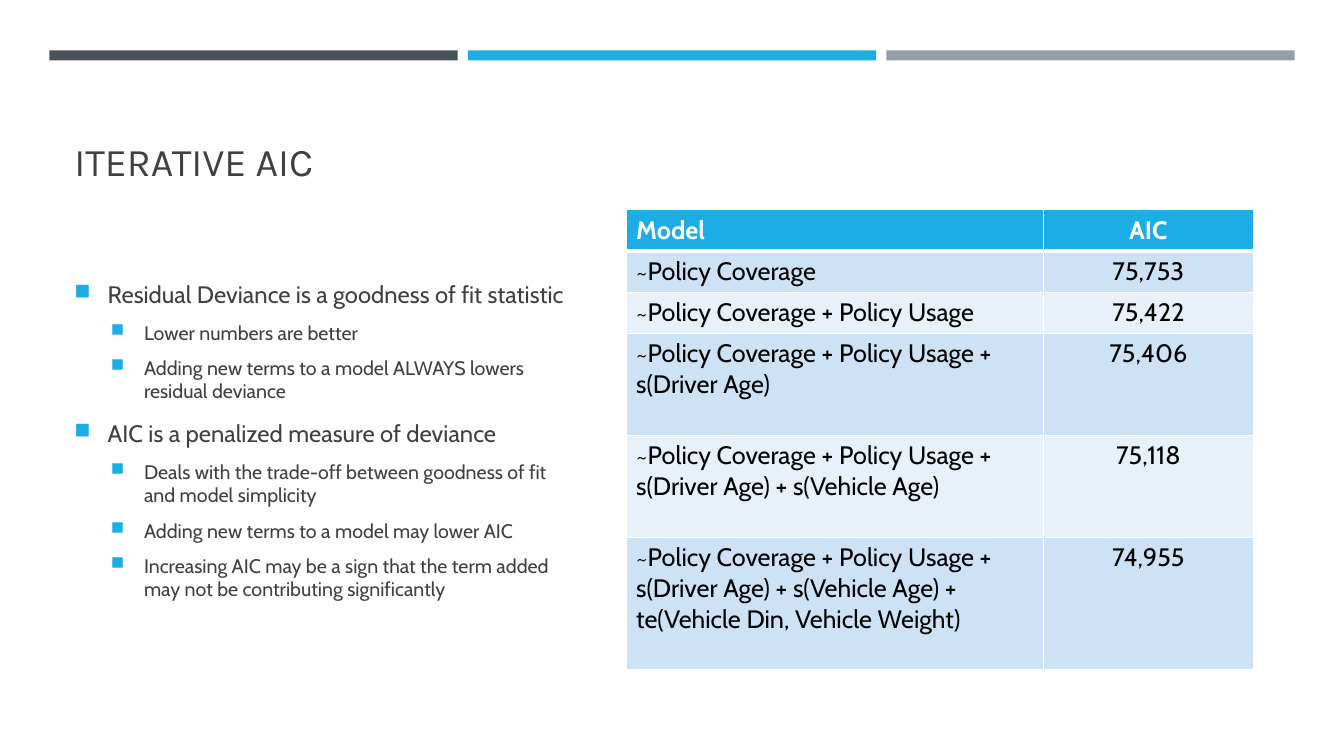
from lxml import etree
from pptx import Presentation
from pptx.dml.color import RGBColor
from pptx.enum.shapes import MSO_SHAPE
from pptx.enum.text import MSO_ANCHOR, PP_ALIGN
from pptx.oxml.ns import qn
from pptx.util import Inches, Pt

RECT = MSO_SHAPE.RECTANGLE
LEFT, CENTER = PP_ALIGN.LEFT, PP_ALIGN.CENTER
MIDDLE, BOTTOM = MSO_ANCHOR.MIDDLE, MSO_ANCHOR.BOTTOM
COLORS = {
    "slate": "465359", "blue": "1CADE4", "gray": "969FA7", "text": "404040",
    "black": "000000", "white": "FFFFFF", "band": "CDE3F5", "light": "E8F1FA",
}


def write(p, text, size=18, color="text", font="Cabin", bold=False, align=LEFT):
    """Add one formatted run to a paragraph."""
    p.alignment = align
    r = p.add_run()
    r.text = text
    r.font.size = Pt(size)
    r.font.name = font
    r.font.bold = bold
    r.font.color.rgb = RGBColor.from_string(COLORS[color])


def add_border(cell, side, width):
    """Draw a white line on one side (L, R, T or B) of a table cell."""
    ln = etree.SubElement(cell._tc.get_or_add_tcPr(), qn("a:ln" + side), w=str(Pt(width)))
    fill = etree.SubElement(ln, qn("a:solidFill"))
    etree.SubElement(fill, qn("a:srgbClr"), val=COLORS["white"])


prs = Presentation()
prs.slide_width, prs.slide_height = Inches(13.33), Inches(7.5)
s = prs.slides.add_slide(prs.slide_layouts[6])

# Top bars
for i, color in enumerate(["slate", "blue", "gray"]):
    bar = s.shapes.add_shape(RECT, Inches(0.49 + 4.15 * i), Inches(0.5), Inches(4.05), Inches(0.1))
    bar.shadow.inherit = False
    bar.fill.solid()
    bar.fill.fore_color.rgb = RGBColor.from_string(COLORS[color])
    bar.line.fill.background()

# Title
tf = s.shapes.add_textbox(Inches(0.64), Inches(0.8), Inches(12.06), Inches(1.08)).text_frame
tf.word_wrap = True
tf.vertical_anchor = BOTTOM
write(tf.paragraphs[0], "ITERATIVE AIC", size=28, font="Karla")

# Bullets: (level, text)
bullets = [
    (0, "Residual Deviance is a goodness of fit statistic"),
    (1, "Lower numbers are better"),
    (1, "Adding new terms to a model ALWAYS lowers residual deviance"),
    (0, "AIC is a penalized measure of deviance"),
    (1, "Deals with the trade-off between goodness of fit and model simplicity"),
    (1, "Adding new terms to a model may lower AIC"),
    (1, "Increasing AIC may be a sign that the term added may not be contributing significantly"),
]
tf = s.shapes.add_textbox(Inches(0.64), Inches(2.53), Inches(5.14), Inches(3.65)).text_frame
tf.word_wrap = True
tf.vertical_anchor = MIDDLE
for i, (level, text) in enumerate(bullets):
    p = tf.add_paragraph() if i else tf.paragraphs[0]
    p.level = level
    p.line_spacing = [1.1, 1.0][level]
    p.space_before = Pt([3.4, 2.5][level])
    p.space_after = Pt(6)
    write(p, text, size=[17, 14][level])
    pPr = p._p.get_or_add_pPr()
    pPr.set("marL", str(Inches([0.33, 0.69][level])))
    pPr.set("indent", str(Inches(-0.33)))
    bullet_color = etree.SubElement(pPr, qn("a:buClr"))
    etree.SubElement(bullet_color, qn("a:srgbClr"), val=COLORS["blue"])
    etree.SubElement(pPr, qn("a:buSzPct"), val="92000")
    etree.SubElement(pPr, qn("a:buChar"), char="■")

# Model table: (row height, model lines, AIC)
usage = "~Policy Coverage + Policy Usage"
rows = [
    (0.41, ["Model"], "AIC"),
    (0.41, ["~Policy Coverage"], "75,753"),
    (0.41, [usage], "75,422"),
    (1.01, [usage + " +", "s(Driver Age)"], "75,406"),
    (1.01, [usage + " +", "s(Driver Age) + s(Vehicle Age)"], "75,118"),
    (1.31, [usage + " +", "s(Driver Age) + s(Vehicle Age) +",
            "te(Vehicle Din, Vehicle Weight)"], "74,955"),
]
table = s.shapes.add_table(len(rows), 2, Inches(6.21), Inches(2.08), Inches(6.22), Inches(4.56)).table
table.columns[0].width = Inches(4.14)
table.columns[1].width = Inches(2.08)
for i, (height, model, aic) in enumerate(rows):
    table.rows[i].height = Inches(height)
    header = i == 0
    fill = "blue" if header else ["light", "band"][i % 2]
    for j, lines in enumerate([model, [aic]]):
        cell = table.cell(i, j)
        for side in "LRTB":
            thick = (header and side == "B") or (i == 1 and side == "T")
            add_border(cell, side, 3 if thick else 1)
        cell.fill.solid()
        cell.fill.fore_color.rgb = RGBColor.from_string(COLORS[fill])
        for k, line in enumerate(lines):
            p = cell.text_frame.add_paragraph() if k else cell.text_frame.paragraphs[0]
            write(p, line, color="white" if header else "black", bold=header,
                  align=[LEFT, CENTER][j])

prs.save("out.pptx")
